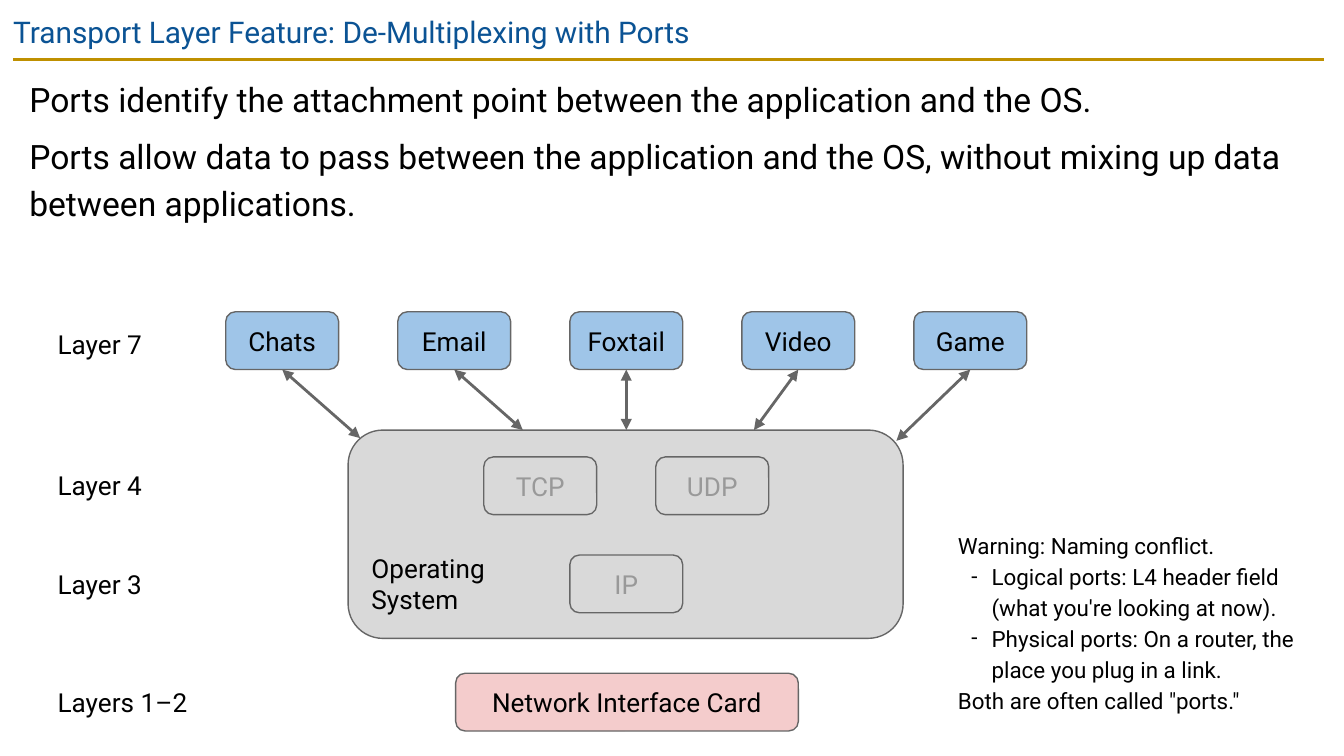
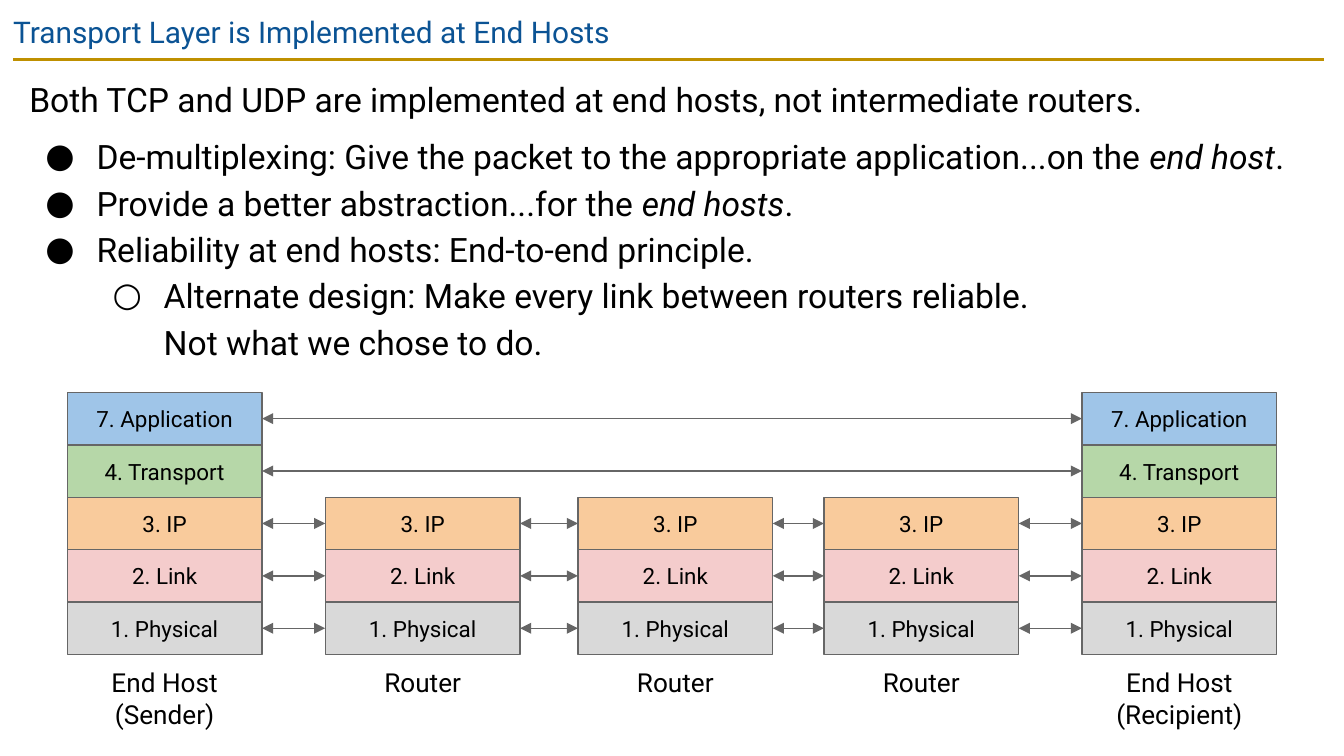
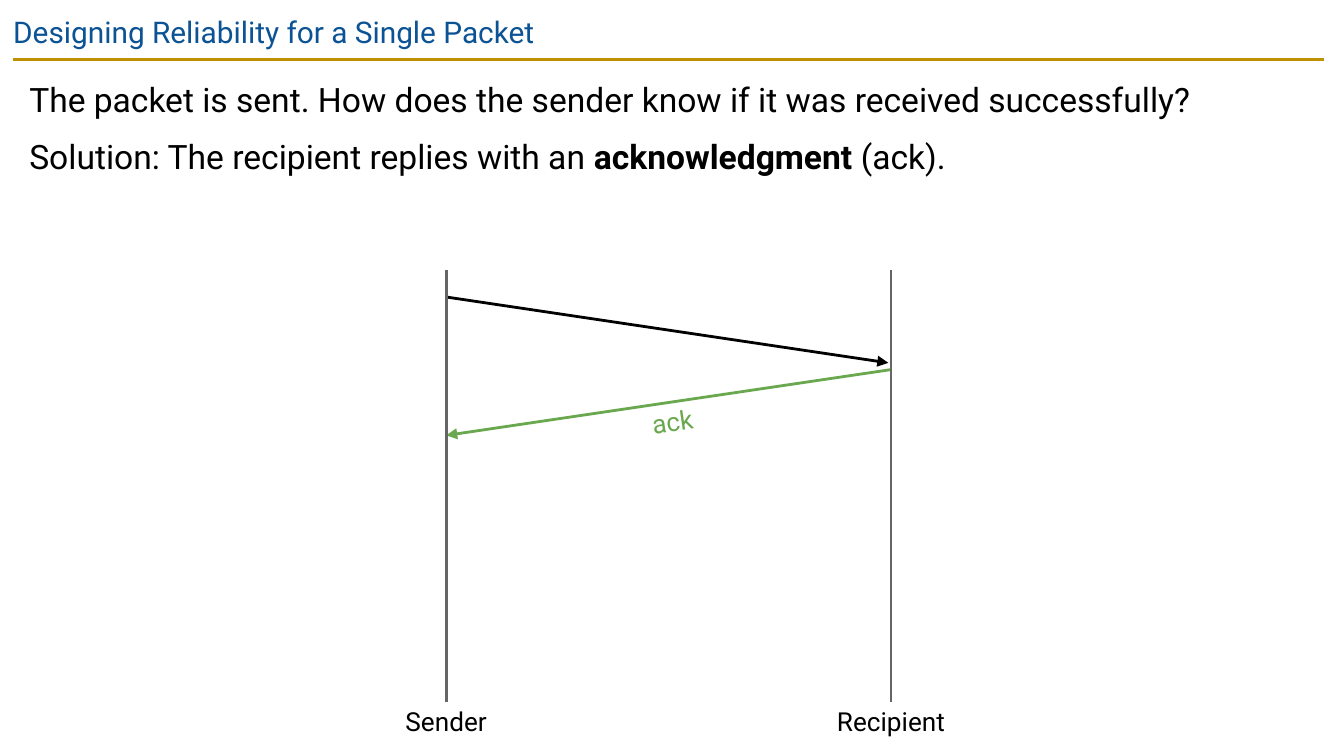
from lxml import etree
from pptx import Presentation
from pptx.dml.color import RGBColor
from pptx.enum.shapes import MSO_CONNECTOR, MSO_SHAPE
from pptx.enum.text import MSO_ANCHOR, PP_ALIGN
from pptx.oxml.ns import qn
from pptx.util import Inches, Pt

LEFT, CENTER = PP_ALIGN.LEFT, PP_ALIGN.CENTER
TOP, MIDDLE, BOTTOM = MSO_ANCHOR.TOP, MSO_ANCHOR.MIDDLE, MSO_ANCHOR.BOTTOM
RECT, ROUND = MSO_SHAPE.RECTANGLE, MSO_SHAPE.ROUNDED_RECTANGLE
STRAIGHT = MSO_CONNECTOR.STRAIGHT

FONT = "Roboto"
COLORS = {
    "title": "0B5394", "gold": "BF9000", "black": "000000", "line": "666666",
    "dim": "999999", "blue": "9FC5E8", "green": "B6D7A8", "orange": "F9CB9C",
    "pink": "F4CCCC", "gray": "D9D9D9", "ack": "6AA84F",
}

# Paragraph styles: bullet, left margin, hanging indent, space before
STYLES = {
    "lead": ("", 0, 0, 6),
    "first": ("●", 0.5, 0.38, 6),
    "dot": ("●", 0.5, 0.38, 0),
    "ring": ("○", 1, 0.38, 0),
    "dash": ("-", 0.25, 0.15, 0),
    "plain": ("", 0, 0, 0),
}

# Content: text between bars is emphasised
PORTS = {
    "title": "Transport Layer Feature: De-Multiplexing with Ports",
    "body": [
        ("Ports identify the attachment point between the application and the OS.", "lead"),
        ("Ports allow data to pass between the application and the OS, "
         "without mixing up data between applications.", "lead"),
    ],
    "layers": [("Layer 7", 2.34), ("Layer 4", 3.39), ("Layer 3", 4.13), ("Layers 1–2", 5.01)],
    # Application and the point where its arrow meets the system
    "apps": [("Chats", 2.68, 3.26), ("Email", 3.89, 3.2), ("Foxtail", 4.66, 3.2),
             ("Video", 5.61, 3.2), ("Game", 6.67, 3.28)],
    # Protocol, column offset from the centre, top
    "protos": [("TCP", -0.5, 3.4), ("UDP", 0.5, 3.4), ("IP", 0, 4.13)],
    "system": [("Operating", "plain"), ("System", "plain")],
    "card": "Network Interface Card",
    "note": [
        ("Warning: Naming conflict.", "plain"),
        ("Logical ports: L4 header field (what you're looking at now).", "dash"),
        ("Physical ports: On a router, the place you plug in a link.", "dash"),
        ('Both are often called "ports."', "plain"),
    ],
}
HOSTS = {
    "title": "Transport Layer is Implemented at End Hosts",
    "body": [
        ("Both TCP and UDP are implemented at end hosts, not intermediate routers.", "lead"),
        ("De-multiplexing: Give the packet to the appropriate application"
         "...on the |end host|.", "first"),
        ("Provide a better abstraction...for the |end hosts|.", "dot"),
        ("Reliability at end hosts: End-to-end principle.", "dot"),
        ("Alternate design: Make every link between routers reliable.\v"
         "Not what we chose to do.", "ring"),
    ],
    "layers": [("7. Application", "blue"), ("4. Transport", "green"), ("3. IP", "orange"),
               ("2. Link", "pink"), ("1. Physical", "gray")],
    # Node, left edge, first layer it has
    "nodes": [("End Host (Sender)", 0.5, 0), ("Router", 2.42, 2), ("Router", 4.3, 2),
              ("Router", 6.13, 2), ("End Host (Recipient)", 8.05, 0)],
}
PACKET = {
    "title": "Designing Reliability for a Single Packet",
    "body": [
        ("The packet is sent. How does the sender know if it was received successfully?", "lead"),
        ("Solution: The recipient replies with an |acknowledgment| (ack).", "lead"),
    ],
    "ends": [("Sender", 3.32), ("Recipient", 6.63)],
    "ack": "ack",
}


def paint(name):
    return RGBColor.from_string(COLORS[name])


def bullet(para, mark, left, hang, color):
    props = para._p.get_or_add_pPr()
    props.set("marL", str(Inches(left)))
    props.set("indent", str(-Inches(hang)))
    tint = etree.SubElement(props, qn("a:buClr"))
    etree.SubElement(tint, qn("a:srgbClr")).set("val", COLORS[color])
    etree.SubElement(props, qn("a:buFont")).set("typeface", FONT)
    etree.SubElement(props, qn("a:buChar")).set("char", mark)


def write(shape, paras, size=14, color="black", align=LEFT, anchor=TOP,
          inset=(0.1, 0.1), space=None, accent="italic"):
    """Fill a shape with a string or with (text, style) paragraphs."""
    frame = shape.text_frame
    frame.word_wrap = True
    frame.vertical_anchor = anchor
    frame.margin_left = frame.margin_right = Inches(inset[0])
    frame.margin_top = frame.margin_bottom = Inches(inset[1])
    if isinstance(paras, str):
        paras = [(paras, "plain")]
    for i, (text, style) in enumerate(paras):
        para = frame.add_paragraph() if i else frame.paragraphs[0]
        mark, left, hang, before = STYLES[style]
        first, *rest = text.split("|")
        para.text = first
        for part in rest:
            para.add_run().text = part
        for j, run in enumerate(para.runs):
            run.font.name, run.font.size = FONT, Pt(size)
            run.font.color.rgb = paint(color)
            if rest and j % 2:
                setattr(run.font, accent, True)
        para.alignment = align
        para.space_before = Pt(before)
        if space:
            para.line_spacing = space
        if style == "ring":
            para.level = 1
        if mark:
            bullet(para, mark, left, hang, color)


def label(slide, box, text, **look):
    shape = slide.shapes.add_textbox(*map(Inches, box))
    write(shape, text, **look)
    return shape


def block(slide, kind, box, text, fill=None, **look):
    shape = slide.shapes.add_shape(kind, *map(Inches, box))
    shape.shadow.inherit = False
    if fill:
        shape.fill.solid()
        shape.fill.fore_color.rgb = paint(fill)
    else:
        shape.fill.background()
    shape.line.color.rgb = paint("line")
    shape.line.width = Pt(0.75)
    write(shape, text, **{"align": CENTER, "anchor": MIDDLE, **look})


def line(slide, start, end, color="line", width=1.5, tips=()):
    """Draw a line; tips names the ends that carry arrowheads."""
    link = slide.shapes.add_connector(STRAIGHT, *map(Inches, (*start, *end)))
    link.line.color.rgb = paint(color)
    link.line.width = Pt(width)
    props = link.element.spPr
    for tip in tips:
        etree.SubElement(props.find(qn("a:ln")), qn("a:" + tip)).set("type", "triangle")
    etree.SubElement(props, qn("a:effectLst"))


TO, BOTH = ("tailEnd",), ("headEnd", "tailEnd")


def start(deck, data, high, accent="italic"):
    """Add a slide with the shared rule, title and body."""
    slide = deck.slides.add_slide(deck.slide_layouts[6])
    line(slide, (0.1, 0.44), (9.85, 0.44), "gold")
    label(slide, (0, 0, 9.32, 0.43), data["title"], size=16, color="title")
    label(slide, (0.12, 0.44, 9.74, high), data["body"], size=18, space=1.15, accent=accent)
    return slide


def ports(deck):
    slide = start(deck, PORTS, 1.77)
    mid, step, wide, high, top = 4.66, 1.28, 0.84, 0.43, 2.32
    block(slide, ROUND, (2.59, 3.2, 4.13, 1.55), PORTS["system"], "gray",
          align=LEFT, anchor=BOTTOM)
    block(slide, ROUND, (3.39, 5.01, 2.55, high), PORTS["card"], "pink")
    for name, col, y in PORTS["protos"]:
        block(slide, ROUND, (mid + col * step - wide / 2, y, wide, high), name, color="dim")
    # Applications and their arrows into the system
    for i, (name, x, y) in enumerate(PORTS["apps"]):
        hub = mid + (i - 2) * step
        block(slide, ROUND, (hub - wide / 2, top, wide, high), name, "blue")
        line(slide, (hub, top + high), (x, y), tips=BOTH)
    for name, y in PORTS["layers"]:
        label(slide, (0.33, y, 1.18, 0.44), name)
    label(slide, (7.03, 3.83, 2.77, 1.57), PORTS["note"], size=12, space=1.15)


def hosts(deck):
    slide = start(deck, HOSTS, 2.38)
    top, wide, high = 2.92, 1.45, 0.39
    nodes, layers = HOSTS["nodes"], HOSTS["layers"]
    for name, x, first in nodes:
        for row in range(first, len(layers)):
            text, fill = layers[row]
            block(slide, RECT, (x, top + row * high, wide, high), text, fill, size=12)
        tall = 0.44 if name == "Router" else 0.67
        label(slide, (x, 4.86, wide, tall), name, align=CENTER)
    # Each layer links the neighbours that have it
    for row in range(len(layers)):
        y = top + (row + 0.5) * high
        lefts = [x for _, x, first in nodes if first <= row]
        for a, b in zip(lefts, lefts[1:]):
            line(slide, (a + wide, y), (b, y), width=0.75, tips=BOTH)


def packet(deck):
    slide = start(deck, PACKET, 1.46, "bold")
    (_, send), (_, get) = PACKET["ends"]
    line(slide, (get, 2.75), (send, 3.24), "ack", tips=TO)
    ack = label(slide, (4.77, 2.99, 0.47, 0.31), PACKET["ack"], color="ack",
                align=CENTER, inset=(0.03, 0.03))
    ack.rotation = 351.5
    line(slide, (send, 2.21), (get - 0.02, 2.7), "black", tips=TO)
    # Time lines
    for name, x in PACKET["ends"]:
        line(slide, (x, 2.01), (x, 5.22))
        label(slide, (x - 0.65, 5.22, 1.3, 0.3), name, align=CENTER, inset=(0.1, 0.03))


def main():
    deck = Presentation()
    # Widescreen, 16 to 9
    deck.slide_width = Inches(10)
    deck.slide_height = deck.slide_width * 9 // 16
    for build in (ports, hosts, packet):
        build(deck)
    deck.save("out.pptx")


if __name__ == "__main__":
    main()
